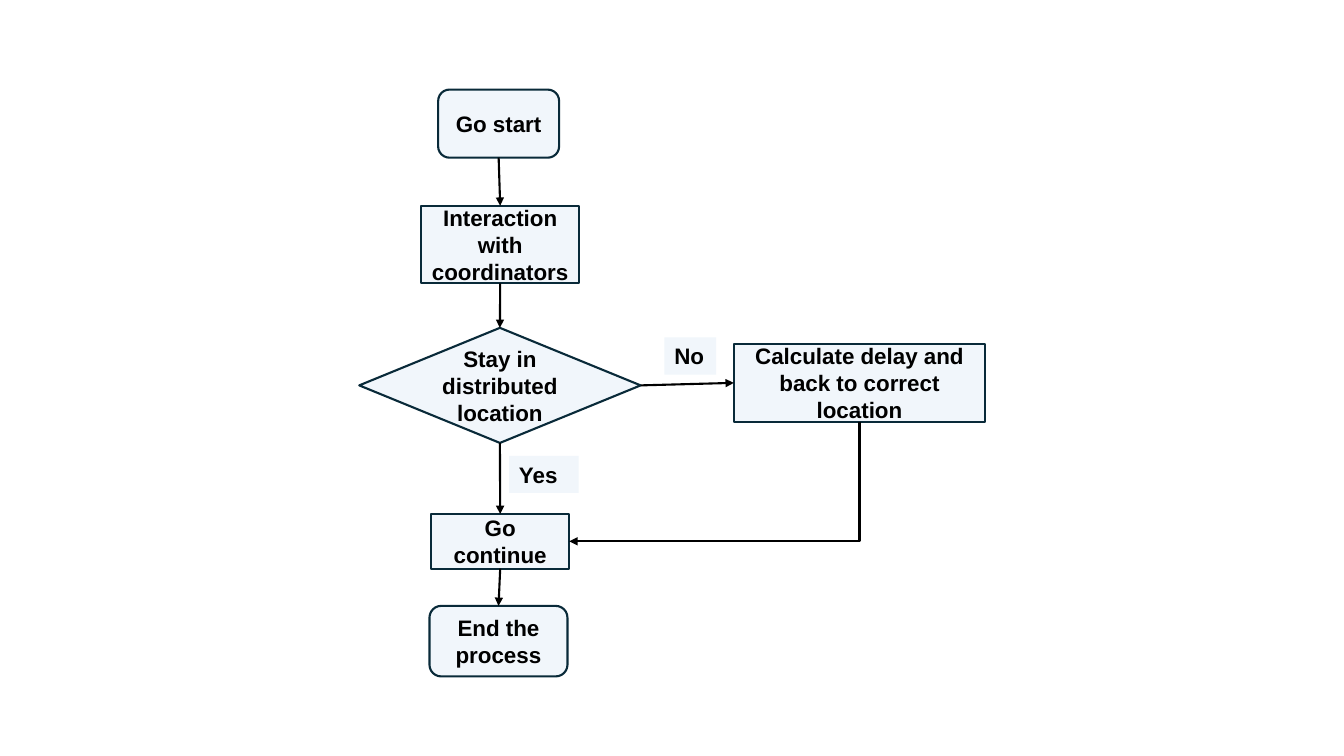
from lxml import etree
from pptx import Presentation
from pptx.dml.color import RGBColor
from pptx.enum import shapes, text
from pptx.oxml import ns
from pptx.util import Pt

PALE_BLUE = RGBColor(0xDC, 0xEA, 0xF7)
NAVY = RGBColor(0x09, 0x2A, 0x39)
BLACK = RGBColor(0x00, 0x00, 0x00)
KIND = shapes.MSO_SHAPE
TOP, LEFT, BOTTOM, RIGHT = range(4)


def add_box(kind, caption, frame, outlined=True):
    """Add a translucent box; an unoutlined one is a branch label."""
    box = page.shapes.add_shape(kind, *[Pt(length) for length in frame])
    box.shadow.inherit = False
    box.fill.solid()
    box.fill.fore_color.rgb = PALE_BLUE
    colour = box.fill._xPr.find(".//" + ns.qn("a:srgbClr"))
    etree.SubElement(colour, ns.qn("a:alpha"), val="40000")
    body = box.text_frame
    body.word_wrap = True
    para = body.paragraphs[0]
    if outlined:
        box.line.color.rgb = NAVY
        box.line.width = Pt(1.5)
        body.vertical_anchor = text.MSO_ANCHOR.MIDDLE
        para.alignment = text.PP_ALIGN.CENTER
    else:
        box.line.fill.background()
        body.vertical_anchor = text.MSO_ANCHOR.TOP
        para.alignment = text.PP_ALIGN.LEFT
    span = para.add_run()
    span.text = caption
    for name, value in {"name": "Arial", "size": Pt(16), "bold": True}.items():
        setattr(span.font, name, value)
    span.font.color.rgb = BLACK
    return box


def add_arrow(kind, *ends):
    arrow = page.shapes.add_connector(kind, *[Pt(length) for length in ends])
    arrow.line.color.rgb = BLACK
    arrow.line.width = Pt(1.5)
    etree.SubElement(arrow.line._get_or_add_ln(), ns.qn("a:tailEnd"), type="triangle")
    etree.SubElement(arrow._element.spPr, ns.qn("a:effectLst"))
    return arrow


deck = Presentation()
deck.slide_width, deck.slide_height = Pt(960), Pt(540)
page = deck.slides.add_slide(deck.slide_layouts[6])

# Steps of the flow: shape, caption, (left, top, width, height)
steps = {
    "start": (KIND.FLOWCHART_ALTERNATE_PROCESS, "Go start", (313, 64, 86.4, 48.6)),
    "interact": (KIND.RECTANGLE, "Interaction with coordinators", (301, 147, 112.6, 55.4)),
    "stay": (KIND.FLOWCHART_DECISION, "Stay in distributed location", (256.6, 234.2, 201, 82.2)),
    "delay": (KIND.RECTANGLE, "Calculate delay and back to correct location", (524.2, 245.5, 179.4, 56)),
    "continue": (KIND.RECTANGLE, "Go continue", (308, 367.2, 98.6, 39)),
    "end": (KIND.FLOWCHART_ALTERNATE_PROCESS, "End the process", (306.8, 432.8, 98.6, 50.4)),
}
boxes = {name: add_box(*step) for name, step in steps.items()}

for caption, frame in (("Yes", (363.6, 325.6, 49.8, 26.6)), ("No", (474.6, 241, 37, 26.6))):
    add_box(KIND.RECTANGLE, caption, frame, outlined=False)

for source, source_side, target, target_side in (
    ("start", BOTTOM, "interact", TOP),
    ("interact", BOTTOM, "stay", TOP),
    ("stay", BOTTOM, "continue", TOP),
    ("continue", BOTTOM, "end", TOP),
    ("stay", RIGHT, "delay", LEFT),
):
    arrow = add_arrow(shapes.MSO_CONNECTOR.STRAIGHT, 0, 0, 0, 0)
    arrow.begin_connect(boxes[source], source_side)
    arrow.end_connect(boxes[target], target_side)

# Return path: down from the delay box, then left; a quarter turn of a single bend
start_x, start_y, end_x, end_y = 613.9, 301.5, 406.6, 386.7
middle_x, middle_y = (start_x + end_x) / 2, (start_y + end_y) / 2
half_run, half_drop = (start_x - end_x) / 2, (end_y - start_y) / 2
bend = add_arrow(shapes.MSO_CONNECTOR.ELBOW, middle_x - half_drop, middle_y - half_run,
                 middle_x + half_drop, middle_y + half_run)
bend._element.spPr.find(ns.qn("a:prstGeom")).set("prst", "bentConnector2")
bend._element.spPr.find(ns.qn("a:xfrm")).set("rot", "5400000")

deck.save("out.pptx")
